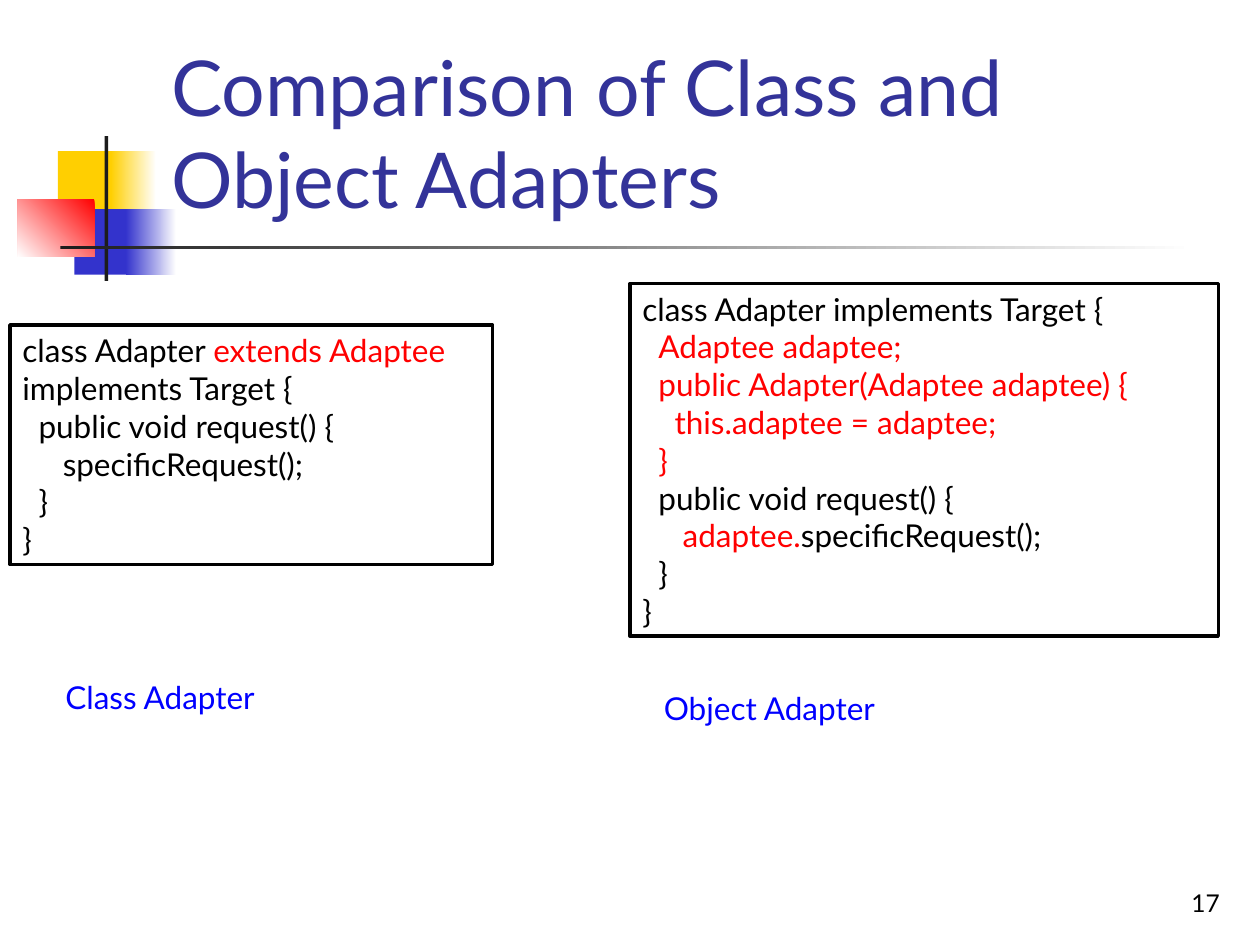
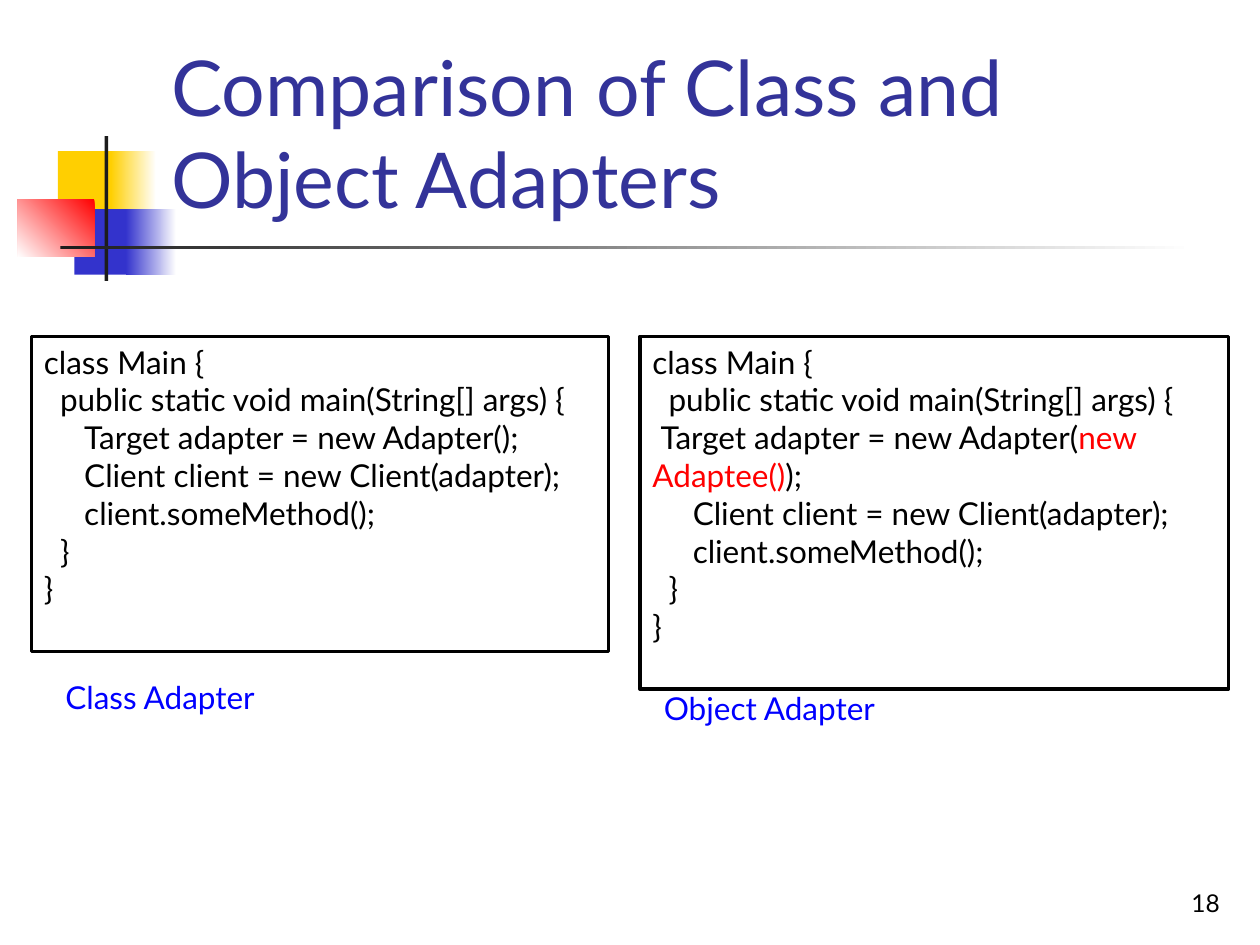
from pptx import Presentation
from pptx.dml.color import RGBColor
from pptx.enum.shapes import MSO_SHAPE as Shape
from pptx.enum.text import MSO_ANCHOR as Anchor, PP_ALIGN as Align
from pptx.util import Inches, Pt

FONT = "Lato"
TITLE = "Comparison of Class and Object Adapters"
WHITE, BLACK, RED, LABEL_BLUE = "FFFFFF", "000000", "FF0000", "0000FF"
TITLE_BLUE, YELLOW, BLUE, CHARCOAL = "333399", "FFCF01", "3333CC", "1C1C1C"
SPACE_WIDTH = 0.064  # one code space at 18 pt, in inches

# Corner ornament and rule: box, colour, fade angle (None for a solid fill)
ORNAMENT = [
    ((0.46, 1.2, 0.48, 0.52), YELLOW, None),
    ((0.88, 1.2, 0.36, 0.52), YELLOW, 0),
    ((0.59, 1.66, 0.46, 0.52), BLUE, None),
    ((1, 1.66, 0.4, 0.52), BLUE, 0),
    ((0.14, 1.58, 0.61, 0.46), RED, 225),
    ((0.83, 1.08, 0.03, 1.15), CHARCOAL, None),
    ((0.48, 1.95, 9, 0.03), CHARCOAL, 0),
]

# Code listings: text between bars is highlighted
CLASS_ADAPTER = """\
class Adapter |extends Adaptee| implements Target {
  public void request() {
     specificRequest();
  }
}"""
OBJECT_ADAPTER = """\
class Adapter implements Target {
  |Adaptee adaptee;|
  |public Adapter(Adaptee adaptee) {|
    |this.adaptee = adaptee;|
  |}|
  public void request() {
     |adaptee.|specificRequest();
  }
}"""
MAIN = """\
class Main {{
  public static void main(String[] args) {{
{target}
     Client client = new Client(adapter);
     client.someMethod();
  }}
}}"""
CLASS_MAIN = MAIN.format(target="     Target adapter = new Adapter();")
OBJECT_MAIN = MAIN.format(target=" Target adapter = new Adapter(|new Adaptee()|);")

# Page number, then the box and code of each listing
SLIDES = [
    (17, [((0.08, 2.58, 3.83, 1.9), CLASS_ADAPTER),
          ((5, 2.25, 4.67, 2.8), OBJECT_ADAPTER)]),
    (18, [((0.25, 2.67, 4.58, 2.5), CLASS_MAIN),
          ((5.08, 2.67, 4.67, 2.8), OBJECT_MAIN)]),
]


def color(value):
    return RGBColor.from_string(value)


def inches(box):
    return [Inches(length) for length in box]


class Deck:
    def __init__(self):
        self.presentation = Presentation()
        self.presentation.slide_width = Inches(10)
        self.presentation.slide_height = Inches(7.5)
        self.slide = None

    def add_slide(self, page):
        self.slide = self.presentation.slides.add_slide(
            self.presentation.slide_layouts[6])
        for box, fill, fade in ORNAMENT:
            self.block(box, fill, fade)
        self.text((1.26, 0.23, 8.52, 1.6), TITLE, 44, TITLE_BLUE, Anchor.BOTTOM)
        self.text((7.7, 6.83, 2.08, 0.5), str(page), 14, BLACK,
                  Anchor.BOTTOM, Align.RIGHT)

    def rectangle(self, box):
        shape = self.slide.shapes.add_shape(Shape.RECTANGLE, *inches(box))
        shape.shadow.inherit = False
        return shape

    def block(self, box, fill, fade):
        shape = self.rectangle(box)
        shape.line.fill.background()
        if fade is None:
            shape.fill.solid()
            shape.fill.fore_color.rgb = color(fill)
            return
        shape.fill.gradient()
        shape.fill.gradient_angle = fade
        for stop, stop_color in zip(shape.fill.gradient_stops, (fill, WHITE)):
            stop.color.rgb = color(stop_color)

    def style(self, paragraph, size, text_color, align=Align.LEFT):
        paragraph.alignment = align
        paragraph.font.name = FONT
        paragraph.font.size = Pt(size)
        paragraph.font.color.rgb = color(text_color)

    def text(self, box, text, size, text_color, anchor=Anchor.TOP, align=Align.LEFT):
        frame = self.slide.shapes.add_textbox(*inches(box)).text_frame
        frame.word_wrap = True
        frame.vertical_anchor = anchor
        frame.text = text
        self.style(frame.paragraphs[0], size, text_color, align)

    def code(self, box, listing):
        shape = self.rectangle(box)
        shape.fill.background()
        shape.line.color.rgb = color(BLACK)
        shape.line.width = Pt(2)
        frame = shape.text_frame
        frame.word_wrap = True
        frame.vertical_anchor = Anchor.TOP
        for number, line in enumerate(listing.splitlines()):
            paragraph = frame.add_paragraph() if number else frame.paragraphs[0]
            self.style(paragraph, 18, BLACK)
            self.code_line(paragraph, line)

    def code_line(self, paragraph, line):
        code = line.lstrip()
        # Indent the first line only, so wrapped code returns to the margin
        indent = Inches((len(line) - len(code)) * SPACE_WIDTH)
        properties = paragraph._p.get_or_add_pPr()
        properties.set("marL", "0")
        properties.set("indent", str(indent))
        for position, part in enumerate(code.split("|")):
            if part:
                run = paragraph.add_run()
                run.text = part
                run.font.name = FONT
                run.font.size = Pt(18)
                run.font.color.rgb = color(RED if position % 2 else BLACK)


def main():
    deck = Deck()
    for page, listings in SLIDES:
        deck.add_slide(page)
        for box, listing in listings:
            deck.code(box, listing)
        deck.text((0.42, 5.33, 2.42, 0.4), "Class Adapter", 18, LABEL_BLUE)
        deck.text((5.17, 5.42, 2.42, 0.4), "Object Adapter", 18, LABEL_BLUE)
    deck.presentation.save("out.pptx")


if __name__ == "__main__":
    main()
